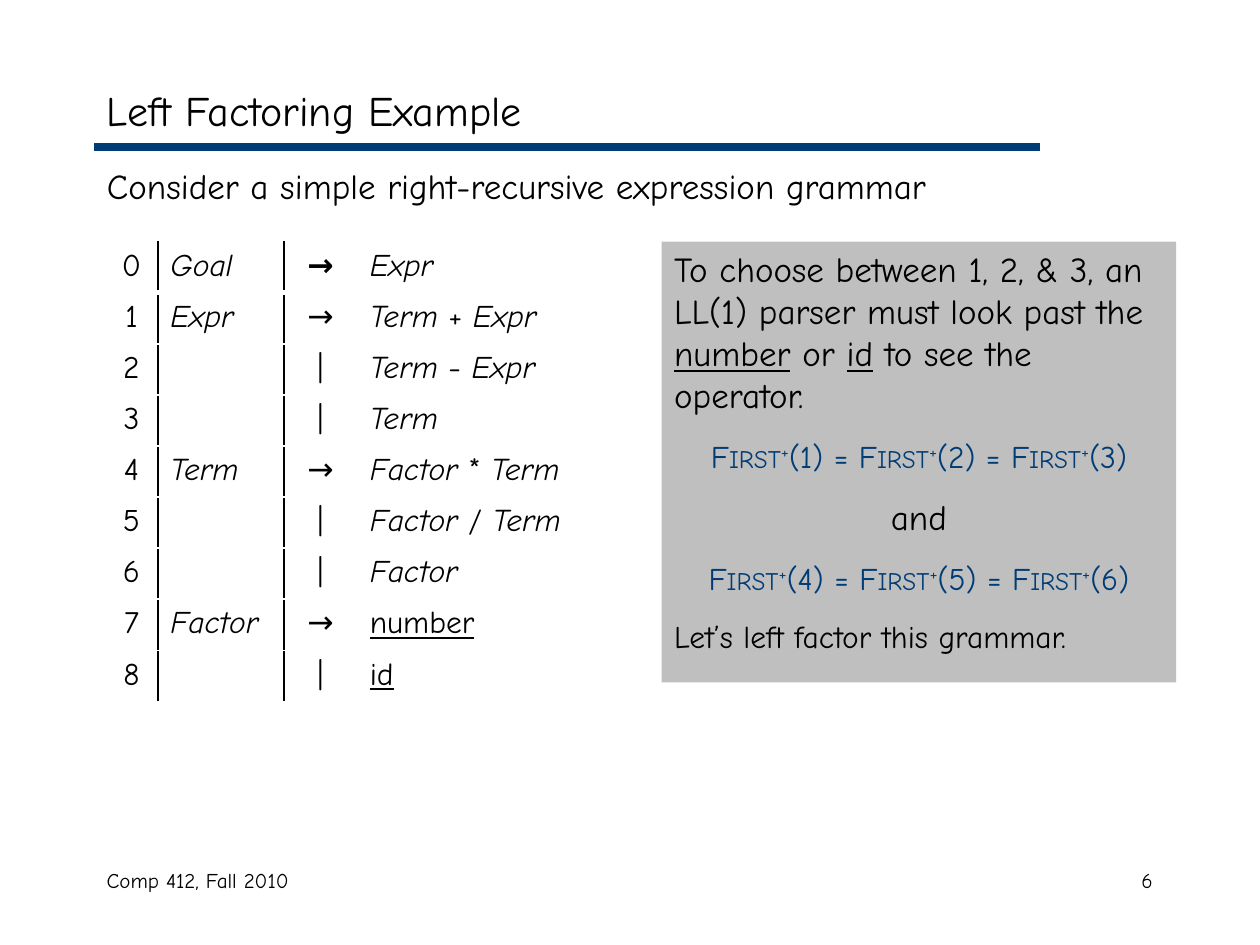
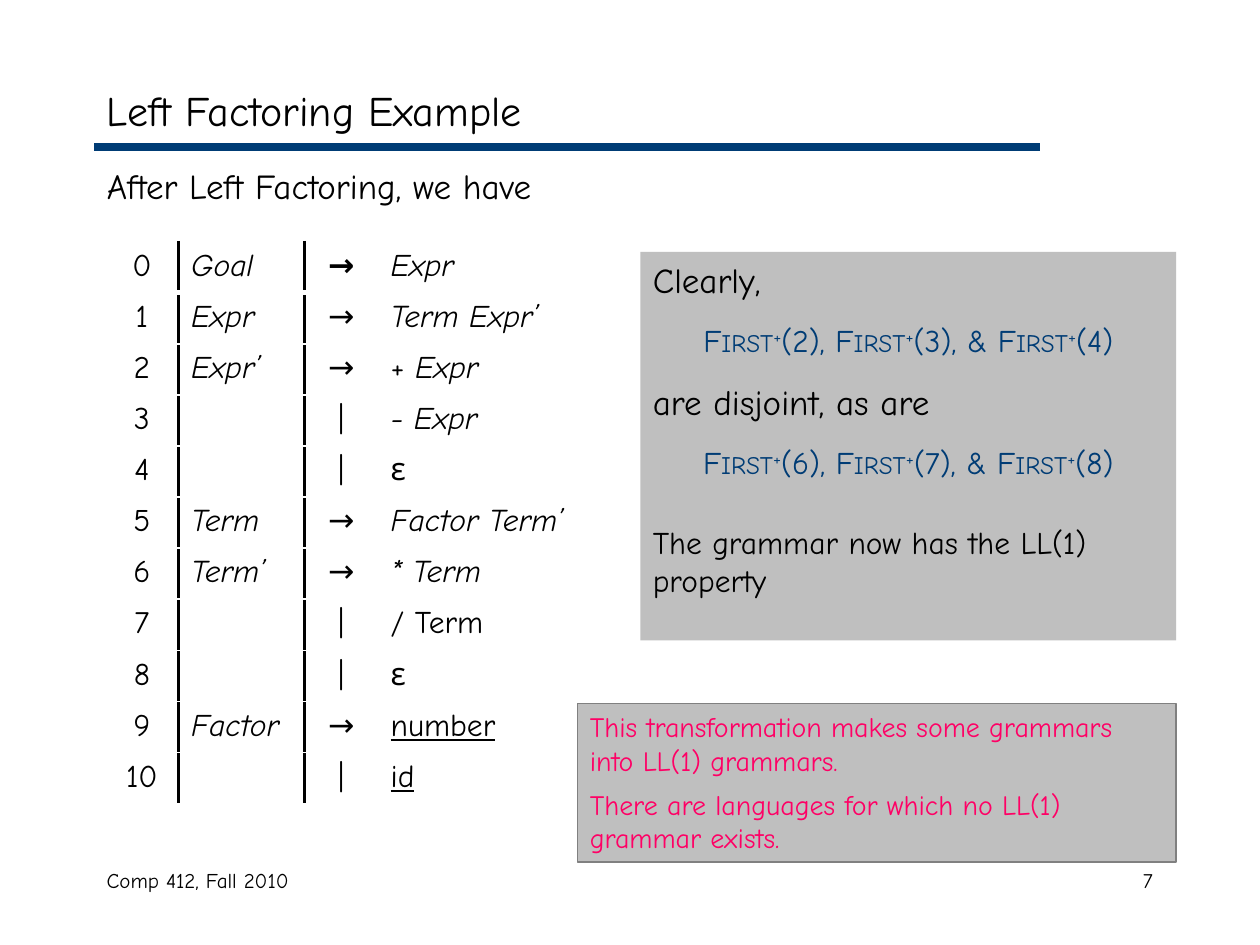
"""Build two slides that left-factor an expression grammar."""
from lxml import etree
from pptx import Presentation
from pptx import util as u
from pptx.dml.color import RGBColor
from pptx.enum import shapes, text
from pptx.oxml import ns

BLACK = RGBColor(0x00, 0x00, 0x00)
WHITE = RGBColor(0xFF, 0xFF, 0xFF)
NAVY = RGBColor(0x00, 0x3C, 0x75)
GREY = RGBColor(0xBF, 0xBF, 0xBF)
EDGE = RGBColor(0x80, 0x80, 0x80)
PINK = RGBColor(0xFF, 0x00, 0x65)
FACE = "Comic Neue"
LEFT = text.PP_ALIGN.LEFT
MID = text.PP_ALIGN.CENTER
RIGHT = text.PP_ALIGN.RIGHT
TOP = text.MSO_ANCHOR.TOP
ROW = u.Cm(1.03)

BEFORE = [
    ("Goal", "_Expr_"),
    ("Expr", "_Term _+ _Expr_"),
    ("", "_Term _- _Expr_"),
    ("", "_Term_"),
    ("Term", "_Factor _* _Term_"),
    ("", "_Factor _/ _Term_"),
    ("", "_Factor_"),
    ("Factor", "~number~"),
    ("", "~id~"),
]
AFTER = [
    ("Goal", "_Expr_"),
    ("Expr", "_Term Expr’_"),
    ("Expr’", "+ _Expr_"),
    ("", "_- Expr_"),
    ("", "ε"),
    ("Term", "_Factor Term’_"),
    ("Term’", "_* Term_"),
    ("", "/ Term"),
    ("", "ε"),
    ("Factor", "~number~"),
    ("", "~id~"),
]


def style(par, size, color=BLACK, align=LEFT):
    """Set the font and alignment of a paragraph."""
    par.alignment = align
    font = par.font
    font.name, font.size = FACE, u.Pt(size)
    font.color.rgb = color


def mark(par, words):
    """Add words, with _italic_ and ~underlined~ parts."""
    for i, part in enumerate(words.split("_")):
        for j, piece in enumerate(part.split("~")):
            if piece:
                run = par.add_run()
                run.text = piece
                if i % 2:
                    run.font.italic = True
                if j % 2:
                    run.font.underline = True


def place(shape, x, y, w, h):
    """Move and size a shape, in centimetres."""
    shape.left, shape.top = u.Cm(x), u.Cm(y)
    shape.width, shape.height = u.Cm(w), u.Cm(h)


def fill_in(holder, words, size, anchor):
    """Write one unbulleted line into a placeholder."""
    frame = holder.text_frame
    frame.auto_size = text.MSO_AUTO_SIZE.NONE
    frame.vertical_anchor = anchor
    par = frame.paragraphs[0]
    par.text = words
    props = par._p.get_or_add_pPr()
    props.set("marL", "0")
    props.set("indent", "0")
    etree.SubElement(props, ns.qn("a:buNone"))
    style(par, size)


def label(slide, words, x, w, align):
    """Add a footer label."""
    box = slide.shapes.add_textbox(u.Cm(x), u.Cm(17.36), u.Cm(w), u.Cm(1.27))
    box.text_frame.word_wrap = True
    par = box.text_frame.paragraphs[0]
    par.text = words
    style(par, 12, align=align)


def page(deck, number, lead):
    """Add a slide with title, rule, lead line and footer."""
    slide = deck.slides.add_slide(deck.slide_layouts[1])
    title, body = slide.placeholders
    place(title, 1.9, 1.48, 21.6, 1.48)
    place(body, 1.9, 3.18, 21.6, 2.1)
    fill_in(title, "Left Factoring Example", 24, text.MSO_ANCHOR.MIDDLE)
    fill_in(body, lead, 20, TOP)
    rule = slide.shapes.add_connector(
        shapes.MSO_CONNECTOR.STRAIGHT,
        u.Cm(1.9), u.Cm(2.96), u.Cm(20.96), u.Cm(2.96))
    rule.line.color.rgb, rule.line.width = NAVY, u.Pt(4.5)
    etree.SubElement(rule._element.spPr, ns.qn("a:effectLst"))
    label(slide, "Comp 412, Fall 2010", 1.9, 8.05, LEFT)
    label(slide, str(number), 18.21, 5.28, RIGHT)
    return slide


def border(cell, side, color, width):
    """Draw one side of a table cell."""
    props = cell._tc.get_or_add_tcPr()
    line = etree.SubElement(props, ns.qn("a:ln" + side), w=str(u.Pt(width)))
    solid = etree.SubElement(line, ns.qn("a:solidFill"))
    etree.SubElement(solid, ns.qn("a:srgbClr"), val=str(color))


def grammar(slide, rules, widths):
    """Add a table of numbered productions."""
    table = slide.shapes.add_table(
        len(rules), 4, u.Cm(2.12), u.Cm(4.87),
        u.Cm(sum(widths)), ROW * len(rules)).table
    table.first_row = table.horz_banding = False
    for col, width in zip(table.columns, widths):
        col.width = u.Cm(width)
    for r, (head, tail) in enumerate(rules):
        table.rows[r].height = ROW
        name = f"_{head}_" if head else ""
        parts = [str(r), name, "→" if head else "|", tail]
        for c, words in enumerate(parts):
            cell = table.cell(r, c)
            par = cell.text_frame.paragraphs[0]
            mark(par, words)
            style(par, 18, align=LEFT if c % 2 else MID)
            par.font.bold = r == 0 and c == 2
            for side, dark in (("L", c in (1, 2)), ("R", c < 2)):
                border(cell, side, *((BLACK, 1.5) if dark else (WHITE, 1)))
            border(cell, "T", WHITE, 1)
            border(cell, "B", WHITE, 1 if r else 3)
            cell.fill.background()


def panel(slide, x, y, w, h):
    """Add a grey box for remarks."""
    box = slide.shapes.add_shape(shapes.MSO_SHAPE.RECTANGLE, 0, 0, 0, 0)
    place(box, x, y, w, h)
    box.shadow.inherit = False
    box.fill.solid()
    box.fill.fore_color.rgb = GREY
    box.line.fill.background()
    box.text_frame.word_wrap = True
    box.text_frame.vertical_anchor = TOP
    return box


def say(box, words, size=20, color=BLACK, align=LEFT, gap=6):
    """Add a remark to a box."""
    frame = box.text_frame
    par = frame.paragraphs[0]
    if par.runs:
        par = frame.add_paragraph()
        par.space_before = u.Pt(gap)
    mark(par, words)
    style(par, size, color, align)


def firsts(box, *tails):
    """Add a centred line of First+ sets."""
    par = box.text_frame.add_paragraph()
    par.space_before, par.space_after = u.Pt(12), u.Pt(6)
    for tail in tails:
        bits = (("First", "cap", "small"), ("+", "baseline", "30000"))
        for words, key, value in bits:
            run = par.add_run()
            run.text = words
            run.font._element.set(key, value)
        par.add_run().text = tail
    style(par, 18, NAVY, MID)


def main():
    """Build both slides and save them."""
    deck = Presentation()
    deck.slide_width, deck.slide_height = u.Cm(25.4), u.Cm(19.05)

    slide = page(deck, 6, "Consider a simple right-recursive expression grammar")
    grammar(slide, BEFORE, (1.06, 2.54, 1.48, 5.08))
    box = panel(slide, 13.34, 4.87, 10.37, 8.89)
    say(box, "To choose between 1, 2, & 3, an LL(1) parser must look past "
        "the ~number~ or ~id~ to see the operator.")
    firsts(box, "(1) = ", "(2) = ", "(3)")
    say(box, "and", align=MID)
    firsts(box, "(4) = ", "(5) = ", "(6)")
    say(box, "Let’s left factor this grammar.", 18)

    slide = page(deck, 7, "After Left Factoring, we have")
    grammar(slide, AFTER, (1.48, 2.54, 1.48, 5.72))
    box = panel(slide, 12.91, 5.08, 10.8, 7.83)
    say(box, "Clearly,")
    firsts(box, "(2), ", "(3), & ", "(4)")
    say(box, "are disjoint, as are")
    firsts(box, "(6), ", "(7), & ", "(8)")
    say(box, "The grammar now has the LL(1) property", 18, gap=18)
    note = panel(slide, 11.64, 14.18, 12.07, 3.2)
    note.line.color.rgb, note.line.width = EDGE, u.Pt(0.75)
    say(note, "This transformation makes some grammars into LL(1) grammars.",
        16, PINK)
    say(note, "There are languages for which no LL(1) grammar exists.",
        16, PINK)

    deck.save("out.pptx")


if __name__ == "__main__":
    main()
